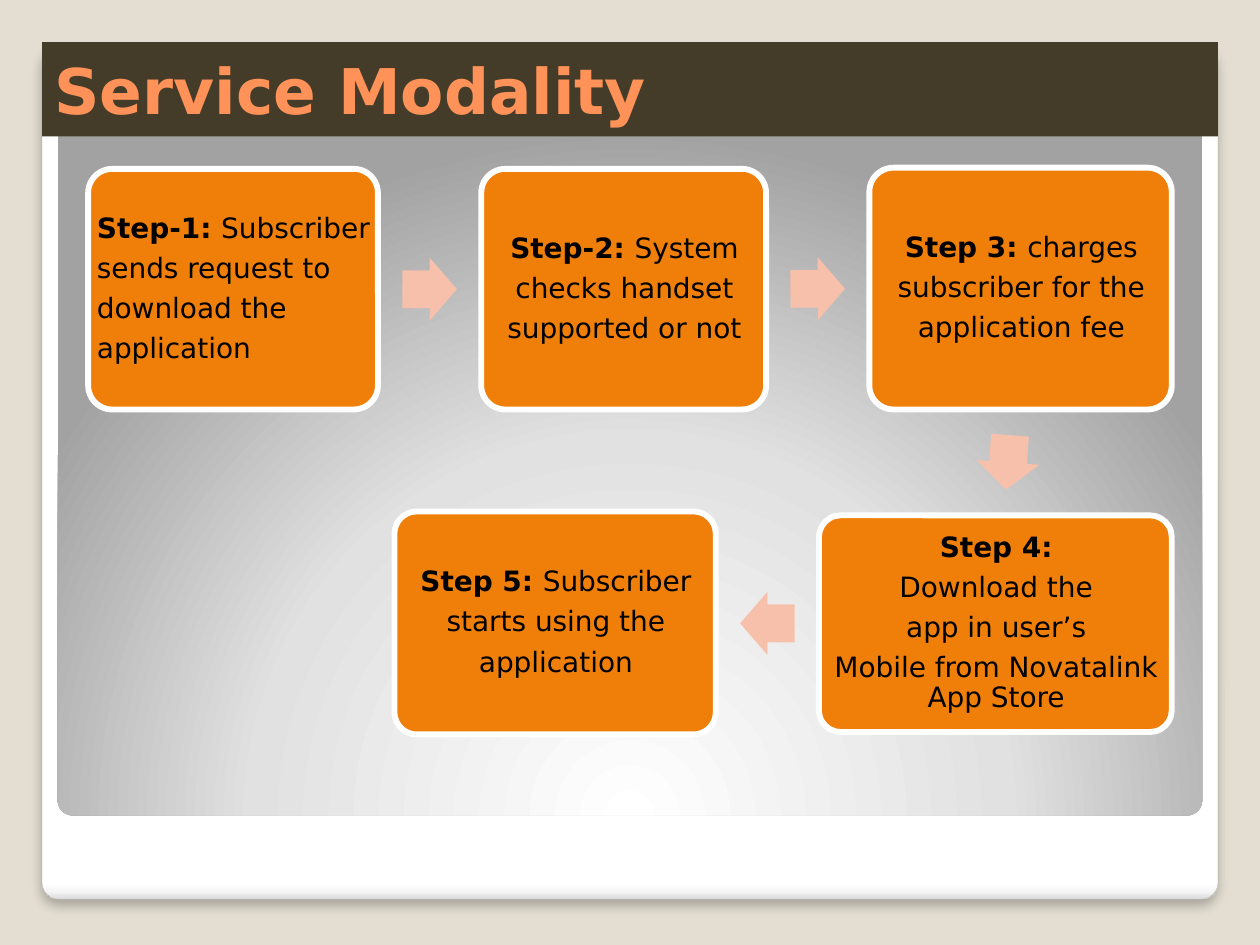
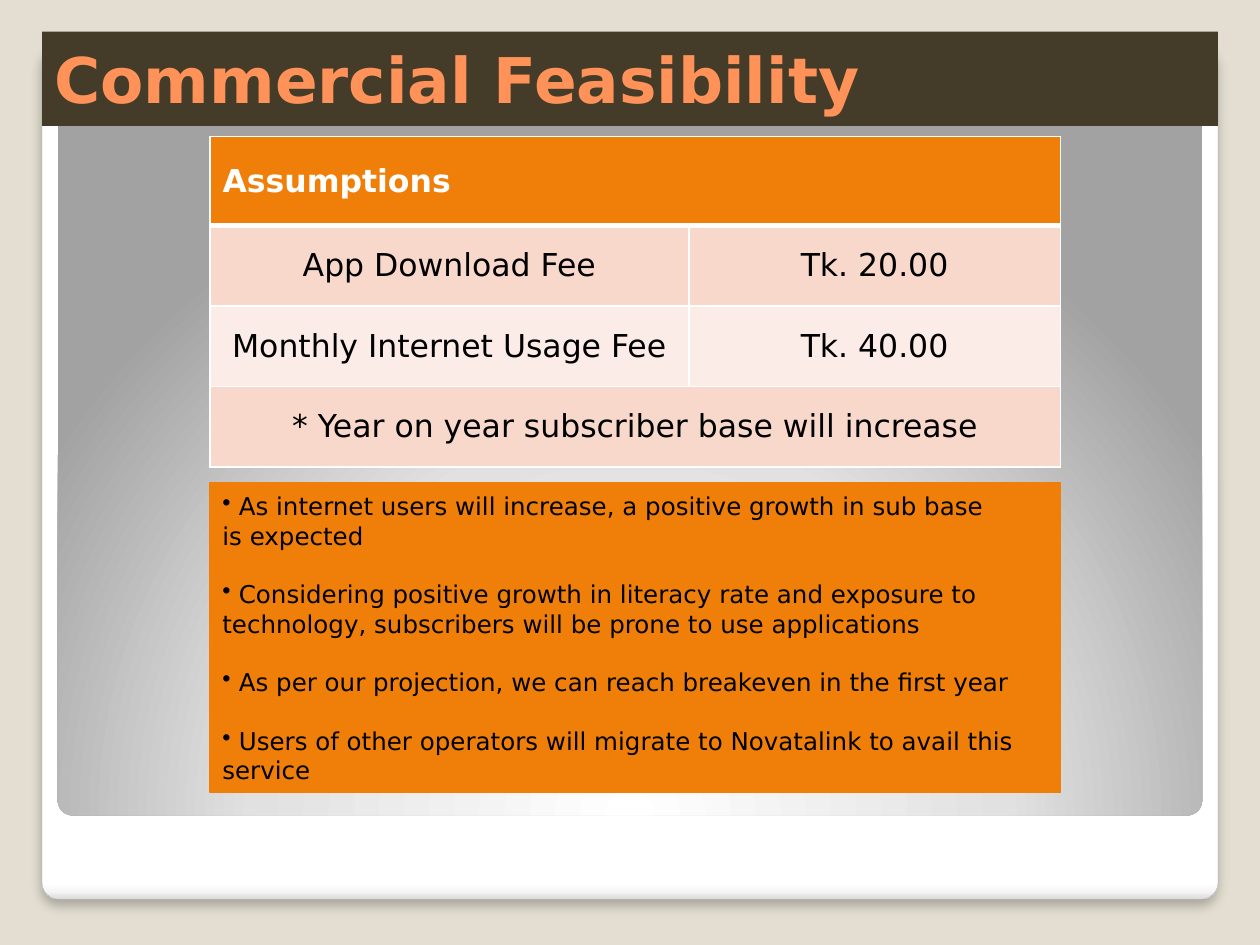
from math import atan2, degrees
from lxml import etree
from pptx import Presentation
from pptx.util import Pt
from pptx.dml.color import RGBColor
from pptx.enum import shapes, text

FONT = "DejaVu Sans"
SAND = RGBColor(0xE3, 0xDE, 0xD1)
BROWN = RGBColor(0x44, 0x3C, 0x29)
CORAL = RGBColor(0xFF, 0x92, 0x58)
ORANGE = RGBColor(0xF0, 0x7F, 0x09)
PEACH = RGBColor(0xF6, 0xC0, 0xAB)
BLUSH = RGBColor(0xF9, 0xD8, 0xCC)
PALE = RGBColor(0xFC, 0xEC, 0xE7)
GREY = RGBColor(0xA4, 0xA4, 0xA4)
WHITE = RGBColor(0xFF, 0xFF, 0xFF)
BLACK = RGBColor(0, 0, 0)
LEFT, CENTER = text.PP_ALIGN.LEFT, text.PP_ALIGN.CENTER
MIDDLE = text.MSO_ANCHOR.MIDDLE
KIND = shapes.MSO_SHAPE
NS = "http://schemas.openxmlformats.org/drawingml/2006/main"

CARD = (24, 26, 672, 488)
PANEL = (33, 34, 654, 432)
CARD_STOPS = [(0, "FFFFFF"), (98, "FFFFFF"), (99, "F7F7F7"), (100, "DADADA")]
PANEL_STOPS = [(0, "FFFFFF"), (55, "E1E1E1"), (100, "A2A2A2")]
DOWNWARD = '<a:lin ang="5400000" scaled="0"/>'
RADIAL = ('<a:path path="circle"><a:fillToRect l="50000" t="175000" '
          'r="50000" b="-75000"/></a:path>')
SHADOW = ('<a:outerShdw blurRad="76200" dist="50800" dir="5400000" algn="tl" rotWithShape="0">'
          '<a:srgbClr val="000000"><a:alpha val="25000"/></a:srgbClr></a:outerShdw>')

STEPS = [
    ((50.4, 96.5, 165.6, 137.5), LEFT, "Step-1: ",
     ["Subscriber", "sends request to", "download the", "application"]),
    ((275, 96.5, 162.8, 137.5), CENTER, "Step-2: ",
     ["System", "checks handset", "supported or not"]),
    ((496.8, 95.8, 172.8, 138.2), CENTER, "Step 3: ",
     ["charges", "subscriber for the", "application fee"]),
    ((468, 294.5, 201.6, 123.8), CENTER, "Step 4:",
     ["", "Download the", "app in user\u2019s", "Mobile from Novatalink App Store"]),
    ((225.4, 292.3, 183.6, 127.4), CENTER, "Step 5: ",
     ["Subscriber", "starts using the", "application"]),
]
ARROW = (31.2, 36)

COLUMNS = [273.6, 212.4]
ROWS = [
    (51, ORANGE, ["Assumptions"]),
    (46, BLUSH, ["App Download Fee", "Tk. 20.00"]),
    (46, PALE, ["Monthly Internet Usage Fee", "Tk. 40.00"]),
    (46, BLUSH, ["* Year on year subscriber base will increase"]),
]
POINTS = [
    ["As internet users will increase, a positive growth in sub base", "is expected"],
    ["Considering positive growth in literacy rate and exposure to technology, "
     "subscribers will be prone to use applications"],
    ["As per our projection, we can reach breakeven in the first year"],
    ["Users of other operators will migrate to Novatalink to avail this service"],
]


def drawing(tag, inner, attrs=""):
    return etree.fromstring(f'<a:{tag} xmlns:a="{NS}" {attrs}>{inner}</a:{tag}>')


def add_shape(s, kind, box, fill=None, line=None, width=0.75):
    sp = s.shapes.add_shape(kind, *map(Pt, box))
    sp.shadow.inherit = False
    if fill is None:
        sp.fill.background()
    else:
        sp.fill.solid()
        sp.fill.fore_color.rgb = fill
    if line is None:
        sp.line.fill.background()
    else:
        sp.line.color.rgb = line
        sp.line.width = Pt(width)
    return sp


def add_text(p, words, size=16, color=BLACK, bold=False, align=LEFT,
             before=0, after=0, spacing=None):
    p.alignment = align
    p.space_before, p.space_after = Pt(before), Pt(after)
    if spacing:
        p.line_spacing = spacing
    r = p.add_run()
    r.text = words
    r.font.name, r.font.size = FONT, Pt(size)
    r.font.bold, r.font.color.rgb = bold, color


def paragraph(tf, i):
    return tf.add_paragraph() if i else tf.paragraphs[0]


def frame(sp, left=7.2, right=7.2, top=3.6, bottom=3.6):
    tf = sp.text_frame
    tf.word_wrap, tf.vertical_anchor = True, MIDDLE
    tf.margin_left, tf.margin_right = Pt(left), Pt(right)
    tf.margin_top, tf.margin_bottom = Pt(top), Pt(bottom)
    return tf


def add_backdrop(s, box, stops, direction, line=None):
    sp = add_shape(s, KIND.ROUNDED_RECTANGLE, box, line=line, width=0.16)
    sp.adjustments[0] = 0.02
    marks = "".join(f'<a:gs pos="{at * 1000}"><a:srgbClr val="{color}"/></a:gs>'
                    for at, color in stops)
    props = sp._element.spPr
    props.replace(props.find(f"{{{NS}}}noFill"),
                  drawing("gradFill", f"<a:gsLst>{marks}</a:gsLst>{direction}",
                          'rotWithShape="1"'))
    return sp


def add_base(prs):
    s = prs.slides.add_slide(prs.slide_layouts[6])
    s.background.fill.solid()
    s.background.fill.fore_color.rgb = SAND
    card = add_backdrop(s, CARD, CARD_STOPS, DOWNWARD, GREY)
    props = card._element.spPr
    props.replace(props.find(f"{{{NS}}}effectLst"), drawing("effectLst", SHADOW))
    add_backdrop(s, PANEL, PANEL_STOPS, RADIAL)
    return s


def add_title(s, words, top):
    sp = add_shape(s, KIND.RECTANGLE, (24, top, 672, 54), BROWN)
    add_text(frame(sp).paragraphs[0], words, size=36, color=CORAL, bold=True)


def add_step(s, box, align, label, lines):
    sp = add_shape(s, KIND.ROUNDED_RECTANGLE, box, ORANGE, WHITE, 3.35)
    sp.adjustments[0] = 0.1
    tf = frame(sp, 1, 0, 1, 1)
    style = dict(align=align, after=5.6, spacing=0.9)
    for i, line in enumerate(lines):
        p = paragraph(tf, i)
        if i == 0:
            add_text(p, label, bold=True, **style)
        if line:
            add_text(p, line, **style)


def add_arrow(s, start, end):
    centers = [(x + w / 2, y + h / 2) for x, y, w, h in (start, end)]
    mid = [sum(c) / 2 for c in zip(*centers)]
    dx, dy = (b - a for a, b in zip(*centers))
    axis = 0 if abs(dx) > abs(dy) else 1
    near = min(b[axis] + b[axis + 2] for b in (start, end))
    far = max(b[axis] for b in (start, end))
    mid[axis] = (near + far) / 2
    w, h = ARROW
    sp = add_shape(s, KIND.RIGHT_ARROW, (mid[0] - w / 2, mid[1] - h / 2, w, h), PEACH)
    sp.adjustments[0], sp.adjustments[1] = 0.6, 0.5
    sp.rotation = round(degrees(atan2(dy, dx)), 1) % 360


def set_borders(cell, **widths):
    props = cell._tc.get_or_add_tcPr()
    for i, side in enumerate("LRTB"):
        width = Pt(widths.get(side, 1))
        props.insert(i, drawing(
            "ln" + side, f'<a:solidFill><a:srgbClr val="{WHITE}"/></a:solidFill>',
            f'w="{int(width)}"'))


def add_assumptions(s):
    height = sum(row[0] for row in ROWS)
    table = s.shapes.add_table(len(ROWS), len(COLUMNS), Pt(120), Pt(78),
                               Pt(sum(COLUMNS)), Pt(height)).table
    table.first_row = table.horz_banding = False
    for column, width in zip(table.columns, COLUMNS):
        column.width = Pt(width)
    for i, (height, fill, words) in enumerate(ROWS):
        table.rows[i].height = Pt(height)
        for j in range(len(COLUMNS)):
            cell = table.cell(i, j)
            cell.fill.solid()
            cell.fill.fore_color.rgb = fill
            cell.vertical_anchor = MIDDLE
            set_borders(cell, T=3 if i == 1 else 1, B=3 if i == 0 else 1)
        if len(words) == 1:
            table.cell(i, 0).merge(table.cell(i, len(COLUMNS) - 1))
        for j, word in enumerate(words):
            add_text(table.cell(i, j).text_frame.paragraphs[0], word, size=18,
                     color=BLACK if i else WHITE, bold=i == 0,
                     align=CENTER if i else LEFT)


def add_points(s):
    sp = add_shape(s, KIND.RECTANGLE, (120, 276, 486, 177), ORANGE, ORANGE)
    tf = frame(sp)
    for i, lines in enumerate(POINTS):
        for j, line in enumerate(lines):
            p = paragraph(tf, i + j)
            first = j == 0
            add_text(p, " " + line if first else line, size=14,
                     before=16.6 if i and first else 0)
            if first:
                p._p.get_or_add_pPr().append(drawing("buChar", "", 'char="\u2022"'))


prs = Presentation()
prs.slide_width, prs.slide_height = Pt(720), Pt(540)

s = add_base(prs)
for step in STEPS:
    add_step(s, *step)
for start, end in zip(STEPS, STEPS[1:]):
    add_arrow(s, start[0], end[0])
add_title(s, "Service Modality", 24)

s = add_base(prs)
add_title(s, "Commercial Feasibility", 18)
add_assumptions(s)
add_points(s)

prs.save("out.pptx")
